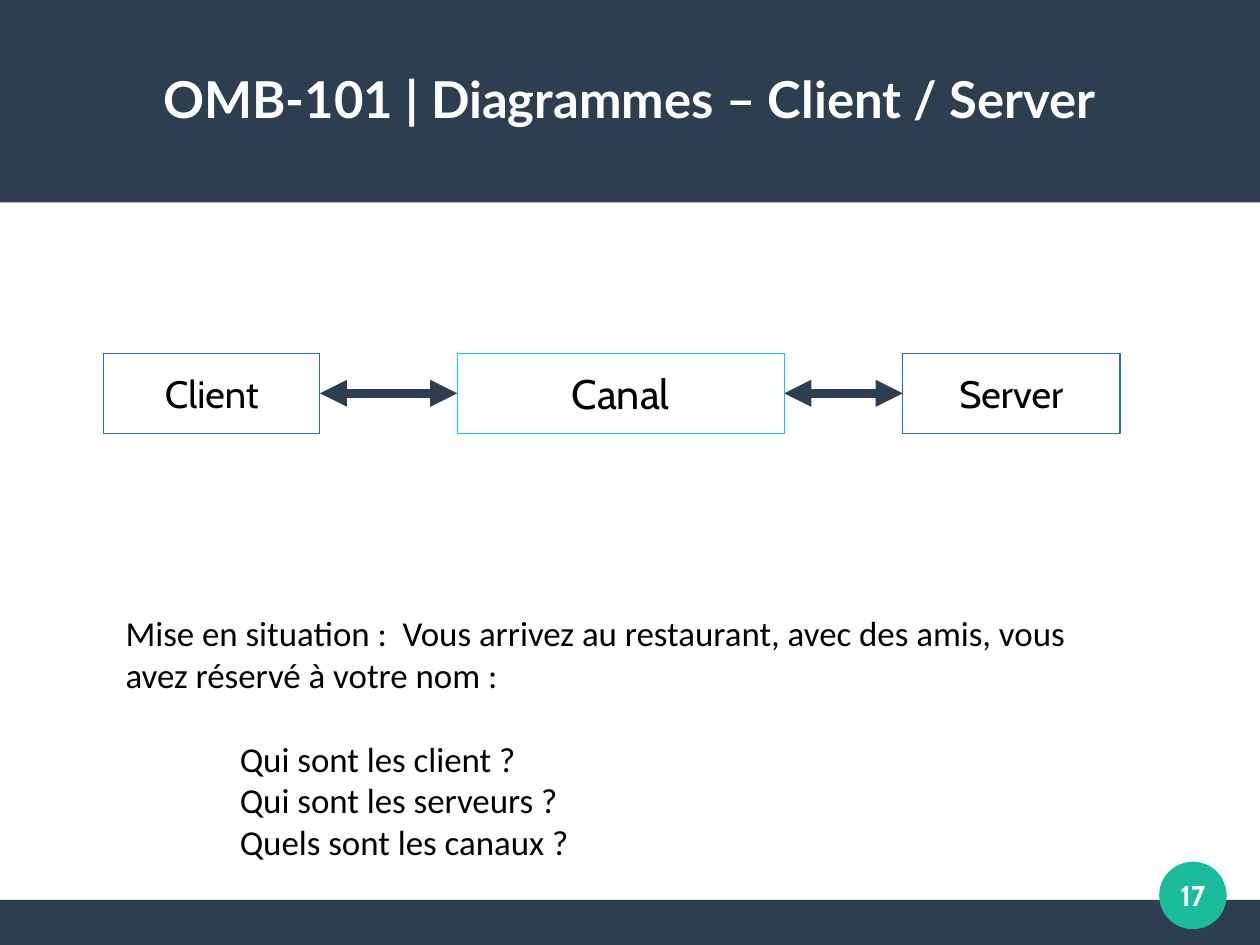
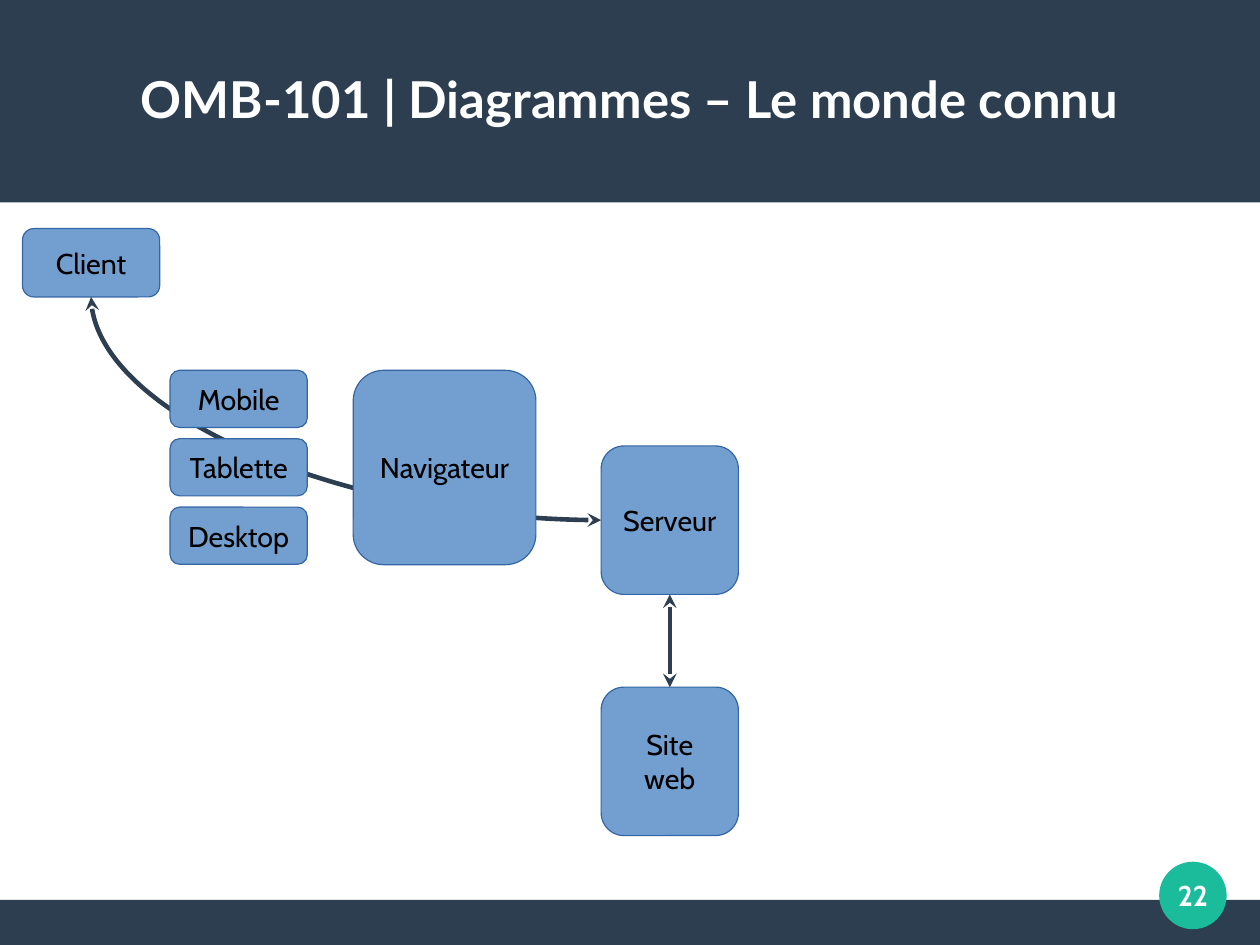
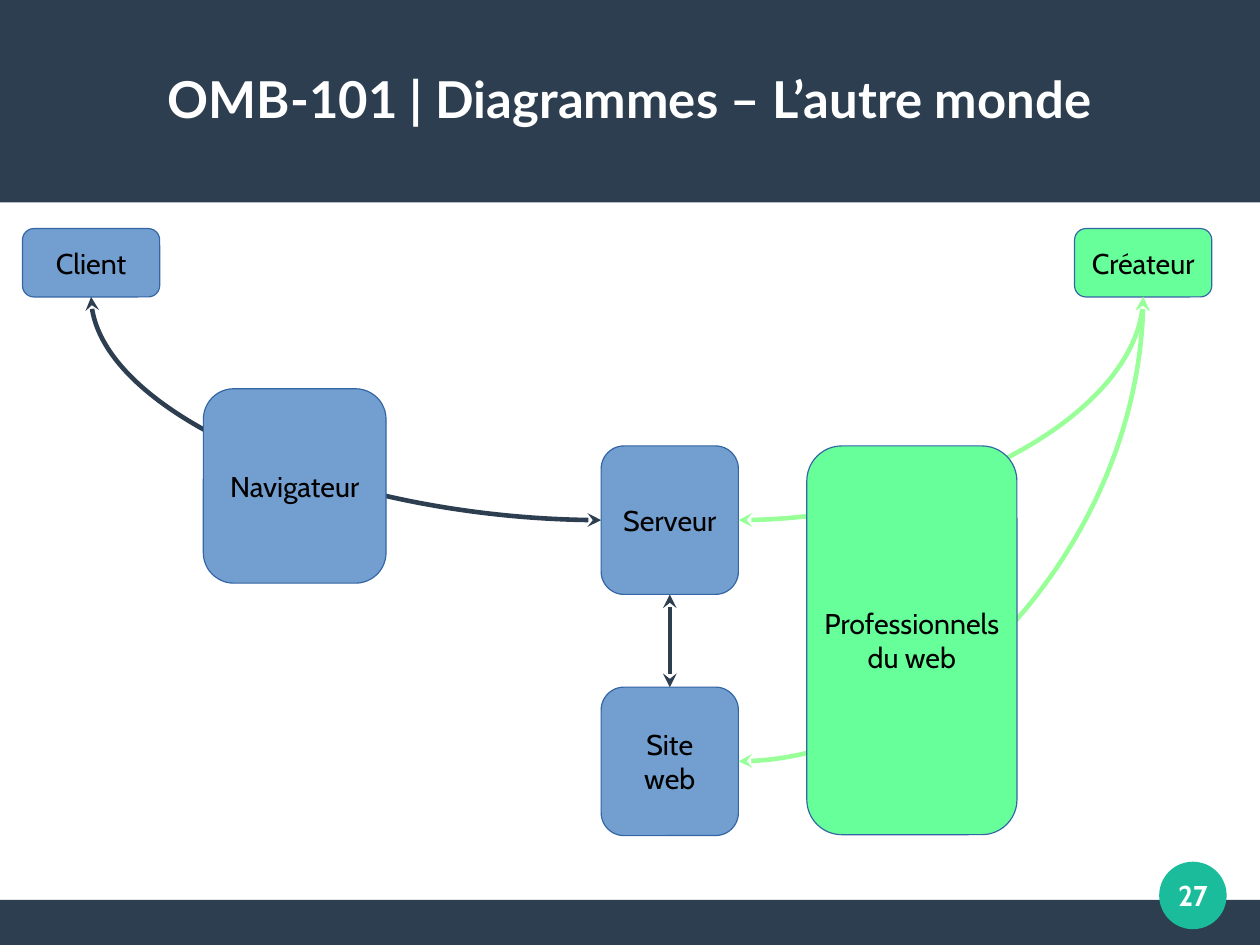
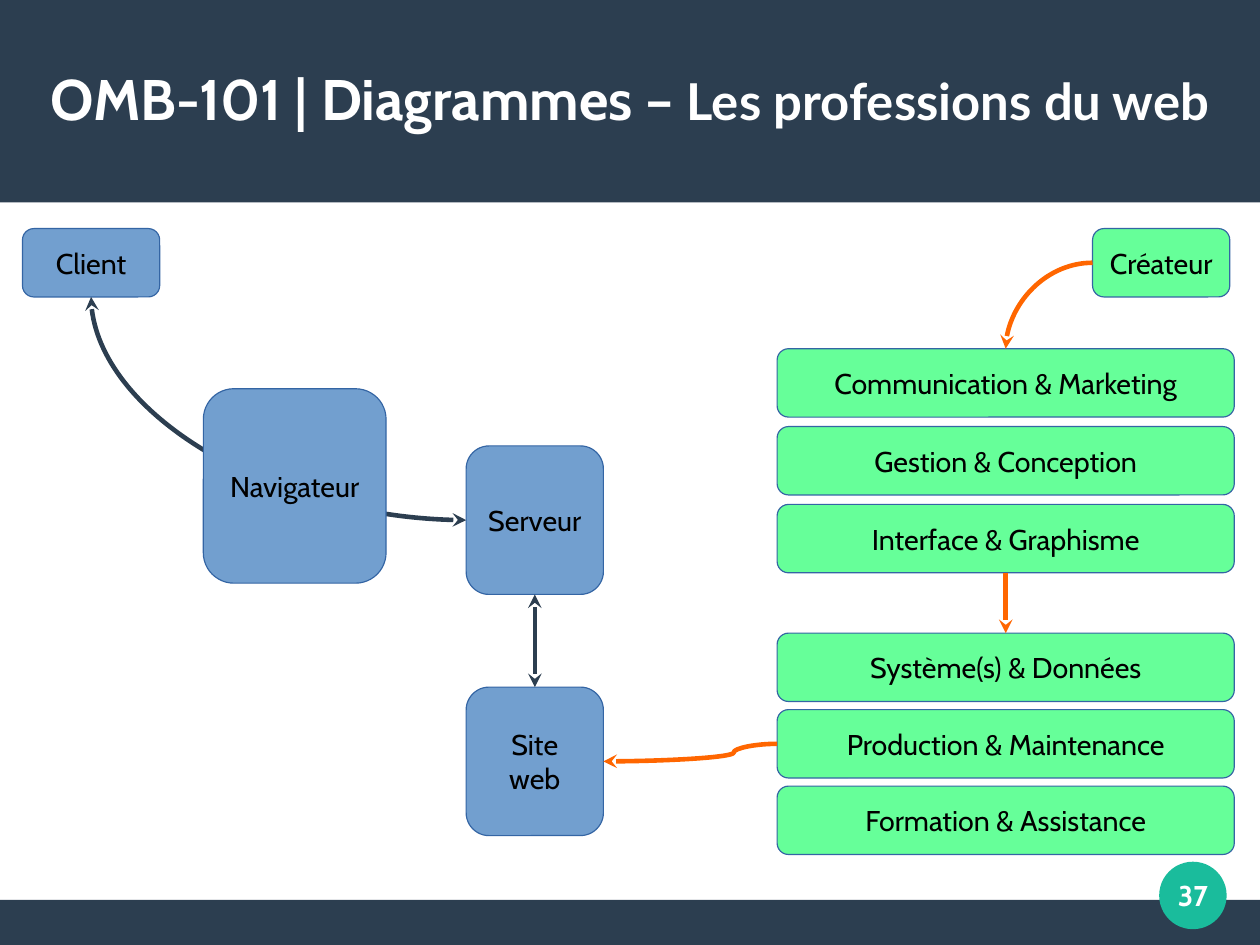
from lxml.etree import SubElement
from pptx import Presentation
from pptx.dml.color import RGBColor
from pptx.enum.shapes import MSO_CONNECTOR, MSO_SHAPE
from pptx.enum.text import MSO_ANCHOR, PP_ALIGN
from pptx.oxml.ns import qn
from pptx.util import Cm, Pt

NAVY = RGBColor(0x2C, 0x3E, 0x50)
TEAL = RGBColor(0x1A, 0xBC, 0x9C)
WHITE = RGBColor(0xFF, 0xFF, 0xFF)
BLACK = RGBColor(0x00, 0x00, 0x00)
BLUE = RGBColor(0x72, 0x9F, 0xCF)
OUTLINE = RGBColor(0x34, 0x65, 0xA4)
CYAN = RGBColor(0x00, 0xCC, 0xFF)
GREEN = RGBColor(0x66, 0xFF, 0x99)
PALE_GREEN = RGBColor(0x99, 0xFF, 0x99)
ORANGE = RGBColor(0xFF, 0x66, 0x00)

TITLE_FONT = "Lato"
LABEL_FONT = "Cabin"
BODY_FONT = "Calibri"

SLIDE_WIDTH, SLIDE_HEIGHT = 28, 21
TITLE_BAND_HEIGHT = 4.5
FOOTER_HEIGHT = 1
BADGE_BOX = (25.76, 19.15, 1.5, 1.5)
TITLE_BOX = (1, 0.84, 26, 2.67)

SMALL_WIDTH, SMALL_HEIGHT = 3.05, 1.52
TOP_ROW = 5.08
SERVER_TOP, SITE_TOP, SERVER_HEIGHT = 9.91, 15.27, 3.3
TOP, LEFT, BOTTOM, RIGHT = range(4)  # connection sites of a rectangle


def format_centred(text_frame, font, size, color, bold=False):
    text_frame.vertical_anchor = MSO_ANCHOR.MIDDLE
    for paragraph in text_frame.paragraphs:
        paragraph.alignment = PP_ALIGN.CENTER
        for run in paragraph.runs:
            format_run(run, font, size, color, bold)


def format_run(run, font, size, color, bold=False):
    run.font.name = font
    run.font.size = Pt(size)
    run.font.color.rgb = color
    run.font.bold = bold


def clear_margins(text_frame):
    text_frame.margin_left = text_frame.margin_right = 0
    text_frame.margin_top = text_frame.margin_bottom = 0


def add_plain_shape(slide, kind, box, fill):
    shape = slide.shapes.add_shape(kind, *map(Cm, box))
    shape.shadow.inherit = False
    shape.fill.solid()
    shape.fill.fore_color.rgb = fill
    shape.line.fill.background()
    return shape


def add_label_box(slide, text, box, fill=BLUE, outline=OUTLINE, size=18,
                  kind=MSO_SHAPE.ROUNDED_RECTANGLE):
    shape = add_plain_shape(slide, kind, box, fill)
    shape.line.color.rgb = outline
    shape.line.width = 0
    shape.text_frame.text = text
    shape.text_frame.word_wrap = False
    format_centred(shape.text_frame, LABEL_FONT, size, BLACK)
    return shape


def add_stack(slide, labels, box, pitch, fill=BLUE):
    """Equal boxes one under another; box is the first of them."""
    left, top, width, height = box
    return [add_label_box(slide, label, (left, top + row * pitch, width, height), fill)
            for row, label in enumerate(labels)]


def add_arrow(slide, start, end, color, width=2.89, head="stealth",
              both_ends=True, kind=MSO_CONNECTOR.STRAIGHT):
    """Glue an arrow between two (shape, connection site) pairs."""
    connector = slide.shapes.add_connector(kind, 0, 0, 0, 0)
    connector.begin_connect(*start)
    connector.end_connect(*end)
    connector.line.color.rgb = color
    connector.line.width = Pt(width)
    properties = connector.element.spPr
    line = properties.find(qn("a:ln"))
    for tag in ["a:headEnd", "a:tailEnd"] if both_ends else ["a:tailEnd"]:
        SubElement(line, qn(tag), type=head)
    SubElement(properties, qn("a:effectLst"))
    return connector


def add_curve(slide, start, end, color, both_ends=True, bend=None):
    """Quarter curve leaving sideways, or an S curve turning at the bend fraction."""
    connector = add_arrow(slide, start, end, color, both_ends=both_ends,
                          kind=MSO_CONNECTOR.CURVE)
    geometry = connector.element.spPr.find(qn("a:prstGeom"))
    if bend is None:
        geometry.set("prst", "curvedConnector2")
        return
    adjustments = geometry.find(qn("a:avLst"))
    if adjustments is None:
        adjustments = SubElement(geometry, qn("a:avLst"))
    SubElement(adjustments, qn("a:gd"), name="adj1", fmla=f"val {round(bend * 100000)}")


def dress_layout(layout, slide):
    """Draw the bands and the badge on the slide, then move them to its layout."""
    for placeholder in list(layout.placeholders)[1:]:
        layout.shapes.element.remove(placeholder.element)
    footer_box = (0, SLIDE_HEIGHT - FOOTER_HEIGHT, SLIDE_WIDTH, FOOTER_HEIGHT)
    decorations = [
        add_plain_shape(slide, MSO_SHAPE.RECTANGLE, footer_box, NAVY),
        add_plain_shape(slide, MSO_SHAPE.RECTANGLE,
                        (0, 0, SLIDE_WIDTH, TITLE_BAND_HEIGHT), NAVY),
        add_plain_shape(slide, MSO_SHAPE.OVAL, BADGE_BOX, TEAL),
    ]
    for index, shape in enumerate(decorations, start=2):
        layout.shapes.element.insert(index, shape.element)


def add_titled_slide(presentation, topic, number):
    layout = presentation.slide_layouts[5]
    slide = presentation.slides.add_slide(layout)
    if len(presentation.slides) == 1:
        dress_layout(layout, slide)

    title = slide.shapes.title
    title.left, title.top, title.width, title.height = map(Cm, TITLE_BOX)
    title.text_frame.text = "OMB-101 | Diagrammes – "
    title.text_frame.paragraphs[0].add_run().text = topic
    title.text_frame.word_wrap = True
    clear_margins(title.text_frame)
    format_centred(title.text_frame, TITLE_FONT, 32, WHITE, bold=True)

    page_number = slide.shapes.add_textbox(*map(Cm, BADGE_BOX))
    page_number.text_frame.text = str(number)
    page_number.text_frame.word_wrap = True
    clear_margins(page_number.text_frame)
    format_centred(page_number.text_frame, LABEL_FONT, 18, WHITE, bold=True)
    return slide


def add_channel_chain(slide, top, height):
    client, channel, server = [
        add_label_box(slide, text, (left, top, width, height), WHITE, outline, size,
                      MSO_SHAPE.RECTANGLE)
        for text, left, width, outline, size in [
            ("Client", 2.31, 4.8, OUTLINE, 24),
            ("Canal", 10.16, 7.27, CYAN, 26),
            ("Server", 20.06, 4.83, OUTLINE, 24),
        ]
    ]
    for before, after in [(client, channel), (channel, server)]:
        add_arrow(slide, (before, RIGHT), (after, LEFT), NAVY, 5.67, "triangle")


def add_situation(slide, box, introduction, questions):
    text_frame = slide.shapes.add_textbox(*map(Cm, box)).text_frame
    text_frame.word_wrap = True
    text_frame.vertical_anchor = MSO_ANCHOR.BOTTOM
    text_frame.text = "\n".join([introduction, *questions])
    for paragraph in text_frame.paragraphs:
        format_run(paragraph.runs[0], BODY_FONT, 22, BLACK)
    question_paragraphs = text_frame.paragraphs[1:]
    question_paragraphs[0].space_before = Pt(26.5)
    for paragraph in question_paragraphs:
        paragraph._p.get_or_add_pPr().set("marL", str(Cm(2.54)))


def add_visitor_side(slide, server_left, browser_left, browser_top):
    """Client, browser, server and site; returns the server and the site."""
    client = add_label_box(slide, "Client", (0.5, TOP_ROW, SMALL_WIDTH, SMALL_HEIGHT))
    server, site = [
        add_label_box(slide, text, (server_left, top, SMALL_WIDTH, SERVER_HEIGHT))
        for text, top in [("Serveur", SERVER_TOP), ("Site\nweb", SITE_TOP)]
    ]
    add_curve(slide, (server, LEFT), (client, BOTTOM), NAVY)
    add_arrow(slide, (server, BOTTOM), (site, TOP), NAVY)
    add_label_box(slide, "Navigateur", (browser_left, browser_top, 4.06, 4.32))
    return server, site


def add_creator(slide, left):
    return add_label_box(slide, "Créateur", (left, TOP_ROW, SMALL_WIDTH, SMALL_HEIGHT), GREEN)


def add_client_server_slide(presentation):
    slide = add_titled_slide(presentation, "Client / Server", 17)
    add_channel_chain(slide, 7.85, 1.78)
    add_situation(
        slide, (2.54, 9, 22.35, 10.3),
        "Mise en situation :  Vous arrivez au restaurant, avec des amis, "
        "vous avez réservé à votre nom :",
        ["Qui sont les client ?", "Qui sont les serveurs ?", "Quels sont les canaux ?"])


def add_known_world_slide(presentation):
    slide = add_titled_slide(presentation, "Le monde connu", 22)
    add_visitor_side(slide, 13.36, 7.85, 8.23)
    add_stack(slide, ["Mobile", "Tablette", "Desktop"],
              (3.78, 8.23, SMALL_WIDTH, 1.27), 1.52)


def add_other_world_slide(presentation):
    slide = add_titled_slide(presentation, "L’autre monde", 27)
    server, site = add_visitor_side(slide, 13.36, 4.52, 8.64)
    creator = add_creator(slide, 23.88)
    for target in (server, site):
        add_curve(slide, (target, RIGHT), (creator, BOTTOM), PALE_GREEN)
    add_label_box(slide, "Professionnels\ndu web", (17.93, SERVER_TOP, 4.67, 8.64), GREEN)


def add_professions_slide(presentation):
    slide = add_titled_slide(presentation, "Les professions du web", 37)
    prefix = slide.shapes.title.text_frame.paragraphs[0].runs[0]
    format_run(prefix, LABEL_FONT, 36, WHITE, bold=True)

    site = add_visitor_side(slide, 10.36, 4.52, 8.64)[1]
    creator = add_creator(slide, 24.28)
    design = add_stack(
        slide, ["Communication & Marketing", "Gestion & Conception", "Interface & Graphisme"],
        (17.27, 7.75, 10.16, SMALL_HEIGHT), 1.73, GREEN)
    operations = add_stack(
        slide, ["Système(s) & Données", "Production & Maintenance", "Formation & Assistance"],
        (17.27, 14.07, 10.16, SMALL_HEIGHT), 1.7, GREEN)
    add_curve(slide, (creator, LEFT), (design[0], TOP), ORANGE, both_ends=False)
    add_arrow(slide, (design[-1], BOTTOM), (operations[0], TOP), ORANGE, both_ends=False)
    add_curve(slide, (operations[1], LEFT), (site, RIGHT), ORANGE, both_ends=False, bend=0.25)


def main():
    presentation = Presentation()
    presentation.slide_width = Cm(SLIDE_WIDTH)
    presentation.slide_height = Cm(SLIDE_HEIGHT)
    add_client_server_slide(presentation)
    add_known_world_slide(presentation)
    add_other_world_slide(presentation)
    add_professions_slide(presentation)
    presentation.save("out.pptx")


if __name__ == "__main__":
    main()
